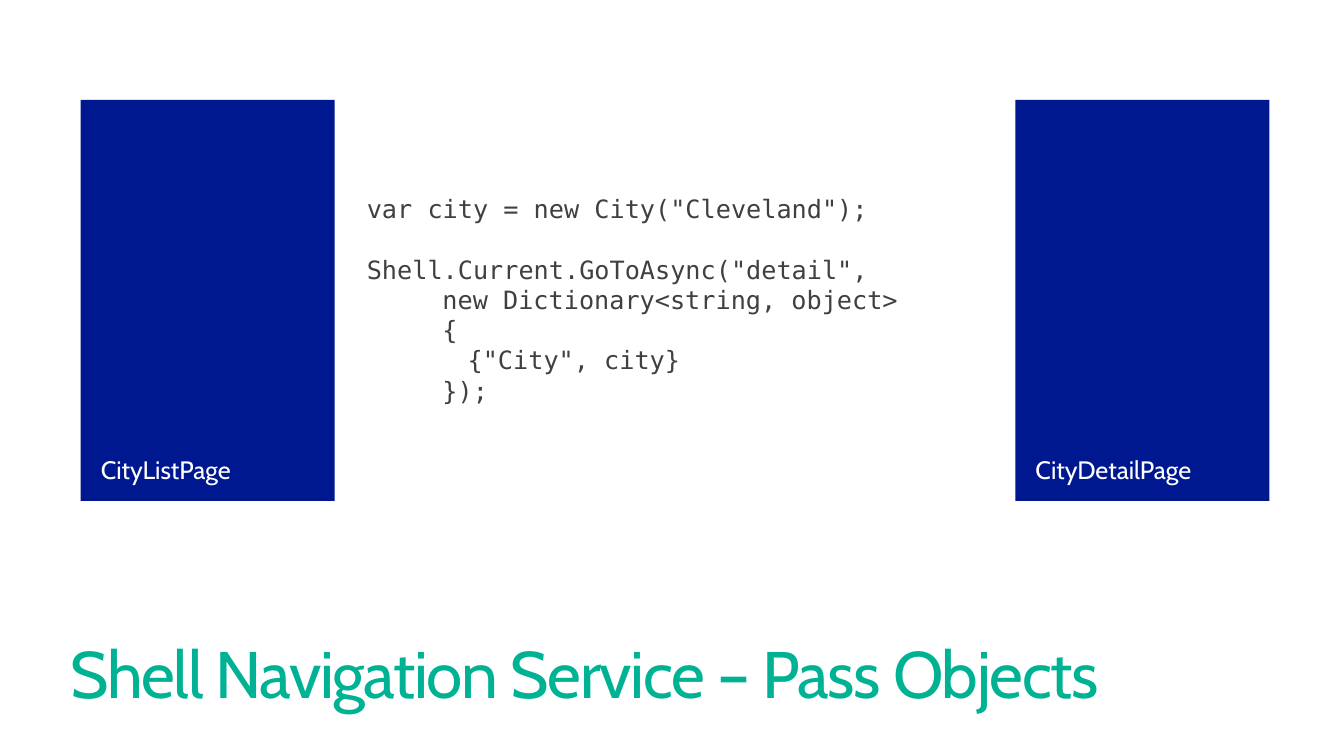
from pptx import Presentation
from pptx.dml.color import RGBColor
from pptx.enum.shapes import MSO_SHAPE
from pptx.enum.text import MSO_ANCHOR, MSO_AUTO_SIZE, PP_ALIGN
from pptx.util import Inches, Pt

TEAL = RGBColor(0x00, 0xB2, 0x94)
NAVY = RGBColor(0x00, 0x18, 0x8F)
GRAY = RGBColor(0x40, 0x40, 0x40)
WHITE = RGBColor(0xFF, 0xFF, 0xFF)
SANS, MONO = "Cabin", "DejaVu Sans Mono"
RECT = MSO_SHAPE.RECTANGLE
TOP, BOTTOM = MSO_ANCHOR.TOP, MSO_ANCHOR.BOTTOM
LEFT = PP_ALIGN.LEFT
FIXED = MSO_AUTO_SIZE.NONE


def write(para, text, font=SANS, size=18, color=GRAY, lead=0.9,
          before=0, indent=0, track=0):
    """Fill one paragraph; indent is in inches, track in points."""
    para.alignment = LEFT
    para.line_spacing = lead
    para.space_before = Pt(before)
    if indent:
        para._p.get_or_add_pPr().set("marL", str(Inches(indent)))
    run = para.add_run()
    run.text = text
    run.font.name = font
    run.font.size = Pt(size)
    run.font.color.rgb = color
    if track:
        run._r.get_or_add_rPr().set("spc", str(track * 100))


deck = Presentation()
deck.slide_width, deck.slide_height = Inches(13.33), Inches(7.5)
slide = deck.slides.add_slide(deck.slide_layouts[5])

# Title along the foot of the slide
title = slide.shapes.title
title.left, title.top = Inches(0.6), Inches(6.32)
title.width, title.height = Inches(12.12), Inches(0.78)
frame = title.text_frame
frame.auto_size = FIXED
frame.word_wrap = True
frame.vertical_anchor = TOP
write(frame.paragraphs[0], "Shell Navigation Service – Pass Objects",
      size=47, color=TEAL, track=-1)

# Code between the two pages
LINE = 21.6
STEP = 0.75
code = [
    ('var city = new City("Cleveland");', 0, 0),
    ('Shell.Current.GoToAsync("detail",', 0, LINE),
    ("new Dictionary<string, object>", STEP, 0),
    ("{", STEP, 0),
    ('{"City", city}', 1, 0),
    ("});", STEP, 0),
]
box = slide.shapes.add_textbox(Inches(3.54), Inches(1.87), Inches(6.3), Inches(2.22))
frame = box.text_frame
frame.word_wrap = True
for row, (text, indent, before) in enumerate(code):
    para = frame.add_paragraph() if row else frame.paragraphs[0]
    write(para, text, font=MONO, lead=Pt(LINE), before=before, indent=indent)

# Pages on either side
for name, left in (("CityListPage", 0.8), ("CityDetailPage", 10.07)):
    page = slide.shapes.add_shape(RECT, Inches(left), Inches(0.99),
                                  Inches(2.52), Inches(3.98))
    page.shadow.inherit = False
    page.fill.solid()
    page.fill.fore_color.rgb = NAVY
    page.line.fill.background()
    frame = page.text_frame
    frame.word_wrap = True
    frame.vertical_anchor = BOTTOM
    frame.margin_left = frame.margin_right = Inches(0.2)
    frame.margin_top = frame.margin_bottom = Inches(0.16)
    write(frame.paragraphs[0], name, color=WHITE)

deck.save("out.pptx")
